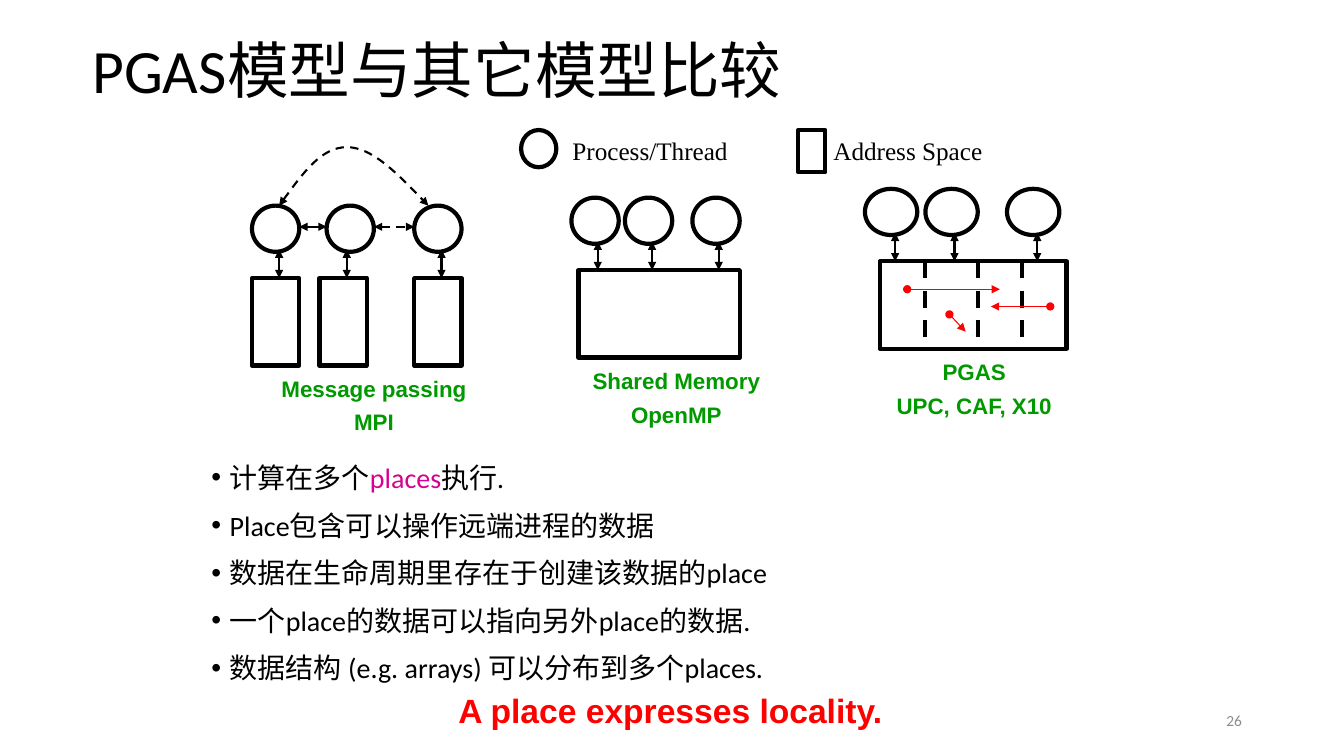
from lxml import etree
from pptx import Presentation
from pptx.dml.color import RGBColor
from pptx.enum import dml, shapes, text
from pptx.oxml.ns import qn
from pptx.util import Pt

COLORS = {"black": "000000", "red": "FF0000", "green": "009900",
          "magenta": "D60093", "gray": "8C8C8C"}
RECTANGLE = shapes.MSO_SHAPE.RECTANGLE
OVAL = shapes.MSO_SHAPE.OVAL
CENTER = text.PP_ALIGN.CENTER


def color(name):
    return RGBColor.from_string(COLORS[name])


def style_line(line, name, width, dashed=False, head=None, tail=None):
    line.color.rgb = color(name)
    line.width = Pt(width)
    if dashed:
        line.dash_style = dml.MSO_LINE.DASH
    properties = line._get_or_add_ln()
    for tag, kind in (("a:headEnd", head), ("a:tailEnd", tail)):
        if kind:
            etree.SubElement(properties, qn(tag), type=kind)


def add_outline(parent, kind, left, top, width, height):
    shape = parent.shapes.add_shape(kind, Pt(left), Pt(top), Pt(width), Pt(height))
    shape.shadow.inherit = False
    shape.fill.background()
    style_line(shape.line, "black", 3)
    return shape


def add_line(parent, x1, y1, x2, y2, name="black", width=1.5, dashed=False,
             head="triangle", tail="triangle"):
    connector = parent.shapes.add_connector(
        shapes.MSO_CONNECTOR.STRAIGHT, Pt(x1), Pt(y1), Pt(x2), Pt(y2))
    style_line(connector.line, name, width, dashed, head, tail)
    etree.SubElement(connector._element.spPr, qn("a:effectLst"))


def add_curve(parent, start, *points):
    """Draw a dashed two-headed curve; every three points make one Bezier segment."""
    builder = parent.shapes.build_freeform(Pt(start[0]), Pt(start[1]))
    builder.add_line_segments([(Pt(x), Pt(y)) for x, y in points], close=False)
    shape = builder.convert_to_shape()
    outline = next(shape._element.iter(qn("a:path")))
    segments = outline.findall(qn("a:lnTo"))
    for first in range(0, len(segments), 3):
        bezier = etree.SubElement(outline, qn("a:cubicBezTo"))
        for segment in segments[first:first + 3]:
            bezier.append(segment[0])
            outline.remove(segment)
    shape.shadow.inherit = False
    shape.fill.background()
    style_line(shape.line, "black", 1.5, True, "triangle", "triangle")


def add_text(parent, box, lines, size, font, name="black", bold=None, align=None,
             spacing=None, before=0, insets=(7.2, 3.6), wrap=True, bullet=False):
    """Each line is a string or a list of (text, colour, italic) runs."""
    shape = parent.shapes.add_textbox(*map(Pt, box))
    frame = shape.text_frame
    frame.word_wrap = wrap
    frame.margin_left = frame.margin_right = Pt(insets[0])
    frame.margin_top = frame.margin_bottom = Pt(insets[1])
    for index, line in enumerate(lines):
        paragraph = frame.add_paragraph() if index else frame.paragraphs[0]
        paragraph.alignment = align
        paragraph.line_spacing = spacing
        if index:
            paragraph.space_before = Pt(before)
        if bullet:
            properties = paragraph._p.get_or_add_pPr()
            properties.set("marL", str(Pt(13)))
            properties.set("indent", str(-Pt(13)))
            etree.SubElement(properties, qn("a:buFont"), typeface="Arial")
            etree.SubElement(properties, qn("a:buChar"), char="•")
        paragraph.font.size = Pt(size)
        paragraph.font.name = font
        paragraph.font.bold = bold
        paragraph.font.color.rgb = color(name)
        runs = [(line, None, None)] if isinstance(line, str) else line
        for words, run_color, italic in runs:
            run = paragraph.add_run()
            run.text = words
            if run_color:
                run.font.color.rgb = color(run_color)
            if italic:
                run.font.italic = True
    return frame


def add_model(slide, top, memories, memory_width, processes, process_width,
              arrows, caption, caption_left, caption_width):
    """Processes above their memory, joined by arrows, with a caption below."""
    group = slide.shapes.add_group_shape()
    for left in memories:
        add_outline(group, RECTANGLE, left, top, memory_width, 62.4)
    for left in processes:
        add_outline(group, OVAL, left, top - 51.8, process_width, 33)
    for x in arrows:
        add_line(group, x, top - 20.5, x, top)
    add_text(group, (caption_left, top + 68, caption_width, 51), caption, 16, "Arial",
             "green", True, CENTER, 0.8, 8.5, (10, 5))
    return group


def main():
    presentation = Presentation()
    presentation.slide_width, presentation.slide_height = Pt(960), Pt(540)
    slide = presentation.slides.add_slide(presentation.slide_layouts[6])

    # Title and key points
    add_text(slide, (66, 28.8, 828, 104.4), ["PGAS模型与其它模型比较"],
             44, "Calibri", spacing=0.9, insets=(0, 0))
    add_text(slide, (144, 325.4, 700.5, 169), [
        [("计算在多个", None, None), ("places", "magenta", None),
         ("执行", None, None), (".", None, True)],
        "Place包含可以操作远端进程的数据",
        "数据在生命周期里存在于创建该数据的place",
        "一个place的数据可以指向另外place的数据.",
        "数据结构 (e.g. arrays) 可以分布到多个places.",
    ], 20, "Calibri", before=10, bullet=True)
    add_text(slide, (247.7, 494.6, 462.2, 30.2), ["A place expresses locality."],
             24, "Arial", "red", True, CENTER, 0.8)

    # Legend
    add_outline(slide, OVAL, 372.2, 92.9, 25.2, 26.6)
    add_outline(slide, RECTANGLE, 570.2, 92.9, 19.4, 30.2)
    for left, width, label in ((401.8, 126.7, "Process/Thread"),
                               (588.2, 122.4, "Address Space")):
        add_text(slide, (left, 92.9, width, 29.5), [label], 18,
                 "Times New Roman", wrap=False)

    # Message passing: separate memories, messages between processes
    message = add_model(slide, 198.7, (180, 228.2, 295.9), 33.8,
                        (180, 233.3, 295.9), 33.8, (199.4, 247.7, 315.4),
                        ["Message passing", "MPI"], 156.2, 221.8)
    add_curve(message, (199.4, 146.9), (214.6, 126), (229.7, 105.1), (247.7, 105.1),
              (265.7, 105.1), (285.8, 126), (306, 146.9))
    add_line(message, 213.8, 162, 233.3, 162)
    add_line(message, 267.1, 162, 295.9, 162, dashed=True)

    # Shared memory
    add_model(slide, 193, (413.3,), 115.2, (408.2, 446.4, 494.6), 33.8,
              (427, 465.8, 513.4), ["Shared Memory", "OpenMP"], 372.2, 221.8)

    # PGAS: one partitioned memory with remote references
    pgas = add_model(slide, 186.7, (628.6,), 133.2, (617.8, 661, 719.3), 37.4,
                     (639.4, 681.8, 740.9), ["PGAS", "UPC, CAF, X10"], 576, 239.8)
    for x in (661, 698.4, 730.1):
        add_line(pgas, x, 186.7, x, 249.1, width=3, dashed=True, head=None, tail=None)
    for reference in ((648, 206.6, 714.2, 206.6), (750.2, 218.9, 707.8, 218.9),
                      (678.2, 224.6, 689.8, 236.9)):
        add_line(pgas, *reference, "red", 0.75, head="oval")

    # Slide number
    number = add_text(slide, (678.2, 500.4, 216, 28.8), ["26"], 11, "Calibri", "gray",
                      align=text.PP_ALIGN.RIGHT)
    number.vertical_anchor = text.MSO_ANCHOR.MIDDLE

    presentation.save("out.pptx")


if __name__ == "__main__":
    main()
